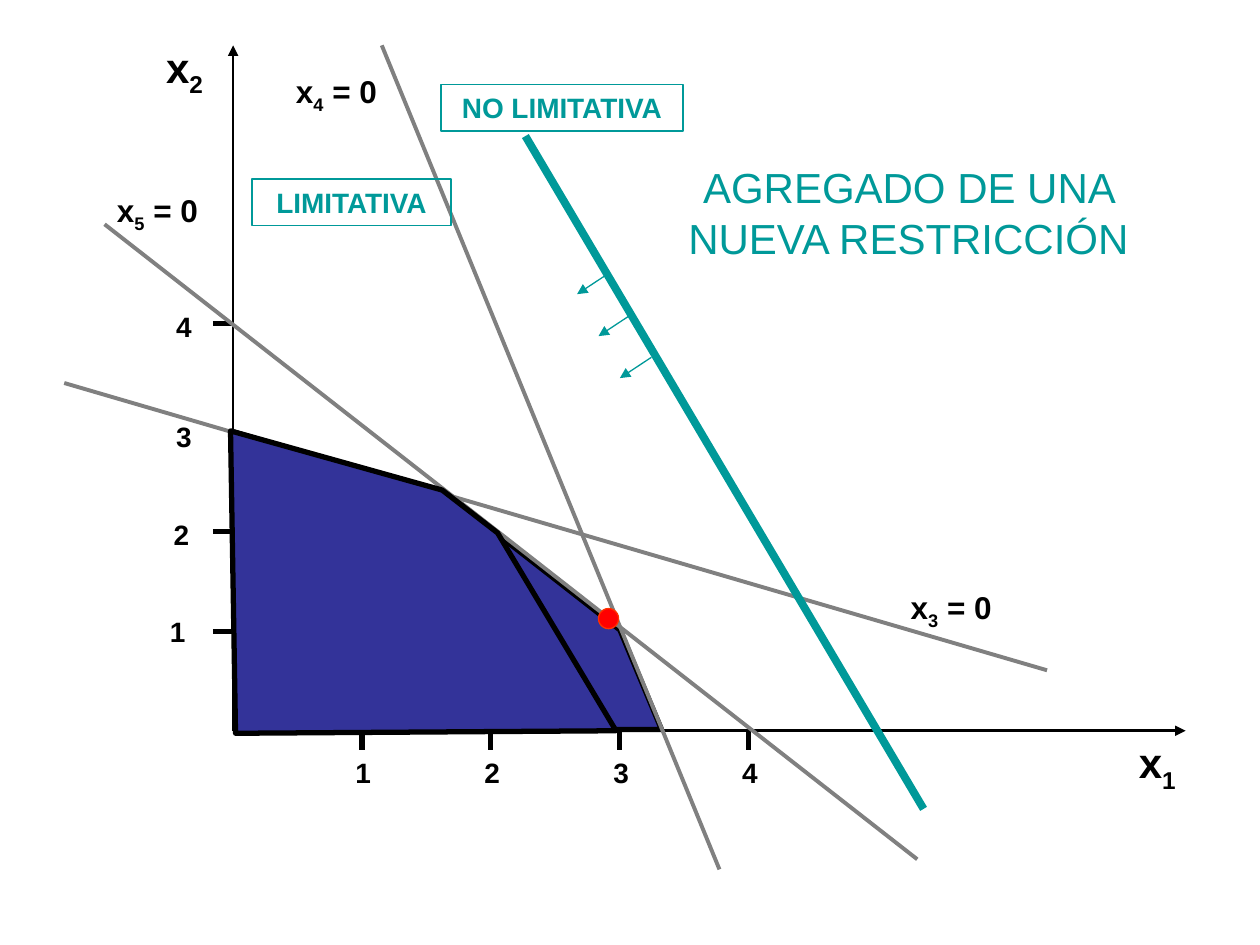
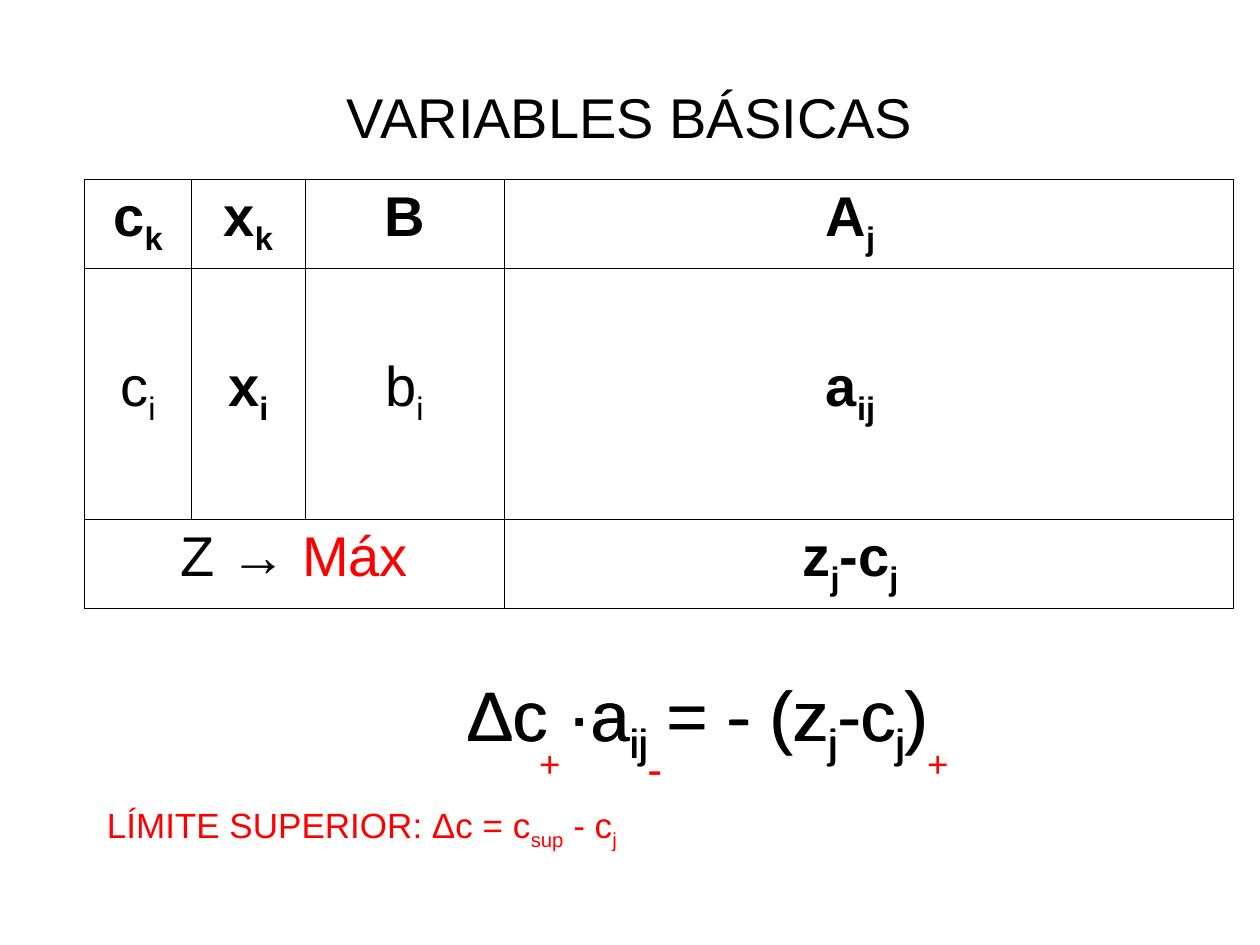
from lxml import etree
from pptx import Presentation
from pptx.dml.color import RGBColor
from pptx.enum.shapes import MSO_CONNECTOR, MSO_SHAPE
from pptx.enum.text import MSO_ANCHOR, MSO_AUTO_SIZE, PP_ALIGN
from pptx.oxml.ns import qn
from pptx.util import Inches, Pt

STRAIGHT = MSO_CONNECTOR.STRAIGHT
RECT, OVAL = MSO_SHAPE.RECTANGLE, MSO_SHAPE.OVAL
LEFT, CENTER = PP_ALIGN.LEFT, PP_ALIGN.CENTER
MIDDLE, FIXED = MSO_ANCHOR.MIDDLE, MSO_AUTO_SIZE.NONE

WIDE, HIGH = Inches(10), Inches(7.5)
UNIT = WIDE / 100
TITLE_ONLY = 5
FONT = "Arial"
HUES = {"ink": "000000", "teal": "009999", "gray": "808080",
        "navy": "333399", "red": "FF0000", "rim": "FF3300"}


def hue(name):
    """Look up a colour by name."""
    return RGBColor.from_string(HUES[name])


def grid(*cells):
    """Turn grid cells into slide lengths."""
    return [round(cell * UNIT) for cell in cells]


def spot(box, x, y):
    """Turn a point inside a box into slide lengths."""
    return grid(box[0] + x, box[1] + y)


def area(box, x, y, w, h):
    """Turn a region inside a box into slide lengths."""
    return spot(box, x, y) + grid(w, h)


def write(para, text, size, color="ink", bold=False, align=LEFT):
    """Add runs to a paragraph, with the parts between bars as subscripts."""
    para.alignment = align
    for n, part in enumerate(text.split("|")):
        if not part:
            continue
        run = para.add_run()
        run.text = part
        looks = {"name": FONT, "size": Pt(size), "bold": bold}
        for key, value in looks.items():
            setattr(run.font, key, value)
        run.font.color.rgb = hue(color)
        if n % 2:
            run.font._element.set("baseline", "-25000")


def label(slide, place, text, size, wrap=False, **looks):
    """Add a text box."""
    frame = slide.shapes.add_textbox(*place).text_frame
    frame.word_wrap = wrap
    write(frame.paragraphs[0], text, size, **looks)


def head(slide, place, text, size, color="ink"):
    """Place and fill the title."""
    title = slide.shapes.title
    for key, value in zip(("left", "top", "width", "height"), place):
        setattr(title, key, value)
    frame = title.text_frame
    looks = {"word_wrap": True, "auto_size": FIXED, "vertical_anchor": MIDDLE}
    for key, value in looks.items():
        setattr(frame, key, value)
    write(frame.paragraphs[0], text, size, color, align=CENTER)


def line(slide, start, end, color, width, arrow=False):
    """Draw a straight line, with an arrowhead if asked."""
    link = slide.shapes.add_connector(STRAIGHT, *start, *end)
    link.line.color.rgb = hue(color)
    link.line.width = Pt(width)
    if arrow:
        tail = etree.SubElement(link.line._get_or_add_ln(), qn("a:tailEnd"))
        tail.set("type", "triangle")
    etree.SubElement(link._element.spPr, qn("a:effectLst"))


def paint(shape, fill, edge, width):
    """Set the fill and outline of a shape."""
    shape.shadow.inherit = False
    if fill:
        shape.fill.solid()
        shape.fill.fore_color.rgb = hue(fill)
    else:
        shape.fill.background()
    shape.line.color.rgb = hue(edge)
    shape.line.width = Pt(width)


def region(slide, box, points):
    """Draw a filled feasible region."""
    first, *rest = [spot(box, *point) for point in points]
    pen = slide.shapes.build_freeform(*first, scale=1.0)
    pen.add_line_segments(rest, close=True)
    paint(pen.convert_to_shape(), "navy", "ink", 3)


def axes(slide, box):
    """Draw the two axes with their names, ticks and numbers."""
    x, y = 13.5, 56
    for end in ((x, 1.6), (89.1, y)):
        line(slide, spot(box, x, y), spot(box, *end), "ink", 1.5, True)
    for name, left, top in (("x|2|", 7.2, 0.8), ("x|1|", 84.4, y)):
        label(slide, area(box, left, top, 6.3, 5.6), name, 24, True, bold=True)
    for n in range(1, 5):
        mark = x + 10.23 * n
        line(slide, spot(box, mark, y + 1.5), spot(box, mark, y), "ink", 3)
        label(slide, area(box, mark - 1.5, y + 1.5, 3.2, 3.7), str(n), 16,
              bold=True)
    for mark in (48.1, 40.2, 23.7):
        line(slide, spot(box, x - 1.6, mark), spot(box, x, mark), "ink", 3)
    numbers = ((7.5, 46.3), (7.8, 38.6), (8, 30.8), (8, 22.1))
    for n, (left, top) in enumerate(numbers, 1):
        label(slide, area(box, left, top, 3.2, 3.7), str(n), 16, bold=True)


def limits(slide, box):
    """Draw the first constraints and their equations."""
    rows = ((3, (0.1, 28.4), (78.1, 51.2), (66.3, 44.2)),
            (4, (52.1, 67), (25.3, 1.6), (17.5, 3.2)),
            (5, (3.3, 15.8), (67.8, 66.2), (3.3, 12.7)))
    for n, start, end, note in rows:
        line(slide, spot(box, *start), spot(box, *end), "gray", 2.25)
        label(slide, area(box, *note, 8.4, 4.4), f"x|{n}| = 0", 18, bold=True)


def added(slide, box):
    """Draw the new constraint, its arrows and the two tags."""
    line(slide, spot(box, 36.7, 8.8), spot(box, 68.3, 62.2), "teal", 4.5)
    for n in range(3):
        x, y = 43.3 + 1.7 * n, 19.7 + 3.33 * n
        line(slide, spot(box, x, y), spot(box, x - 2.5, y + 1.65),
             "teal", 0.75, True)
    tags = (("NO LIMITATIVA", 30, 4.7, 19.2), ("LIMITATIVA", 15, 12.2, 15.8))
    for text, x, y, w in tags:
        tag = slide.shapes.add_shape(RECT, *area(box, x, y, w, 3.7))
        paint(tag, None, "teal", 0.75)
        frame = tag.text_frame
        frame.word_wrap = True
        write(frame.paragraphs[0], text, 16, "teal", True, CENTER)


def graph(slide, box):
    """Build the graph of the feasible region."""
    region(slide, box, ((13.7, 55.9), (13.6, 32.3), (30.5, 37.3),
                        (44.2, 48), (47.5, 55.9)))
    axes(slide, box)
    limits(slide, box)
    added(slide, box)
    region(slide, box, ((13.7, 56.2), (13.3, 32.2), (30.1, 36.9),
                        (34.5, 40.3), (43.9, 56)))
    dot = slide.shapes.add_shape(OVAL, *area(box, 42.5, 46.3, 1.6, 1.6))
    paint(dot, "red", "rim", 0.75)


def edges(cell, sides):
    """Draw the named borders of a cell and hide the others."""
    props = cell._tc.get_or_add_tcPr()
    for side in "LRTB":
        edge = etree.SubElement(props, qn(f"a:ln{side}"), w=str(Pt(0.45)))
        if side in sides:
            fill = etree.SubElement(edge, qn("a:solidFill"))
            etree.SubElement(fill, qn("a:srgbClr"), val=HUES["ink"])
        else:
            etree.SubElement(edge, qn("a:noFill"))
    cell.fill.background()


def simplex(slide, box):
    """Build the simplex table."""
    cols = (8.5, 9, 15.8, 11.6, 10.6, 10.6, 12.2, 12.9)
    rows = (7.1, 6.4, 7.1, 6.4, 7.1)
    place = area(box, 0, 0, sum(cols), sum(rows))
    table = slide.shapes.add_table(len(rows), len(cols), *place).table
    table.first_row = table.horz_banding = False
    for col, width in zip(table.columns, grid(*cols)):
        col.width = width
    for row, height in zip(table.rows, grid(*rows)):
        row.height = height
    for r in range(len(rows)):
        for c in range(len(cols)):
            tests = {"L": c <= 3, "R": c <= 2 or c == 7,
                     "T": r in (0, 1, 4), "B": r in (0, 3, 4)}
            edges(table.cell(r, c), [s for s, on in tests.items() if on])
    table.cell(4, 0).merge(table.cell(4, 2))
    words = ((0, 0, "c|k|", True), (0, 1, "x|k|", True), (0, 2, "B", True),
             (0, 5, "A|j|", True), (2, 0, "c|i|", False),
             (2, 1, "x|i|", True), (2, 2, "b|i|", False),
             (2, 5, "a|ij|", True), (4, 0, "Z → ", False),
             (4, 5, "z|j|-c|j|", True))
    for r, c, text, bold in words:
        para = table.cell(r, c).text_frame.paragraphs[0]
        write(para, text, 32, bold=bold, align=CENTER)
    goal = table.cell(4, 0).text_frame.paragraphs[0]
    write(goal, "Máx", 32, "red", align=CENTER)


def rule(slide, box):
    """Write the formula, its signs and the upper limit."""
    for x, w in ((28.6, 40.7), (28.5, 39.8)):
        label(slide, area(box, x, 0, w, 8.6),
              "Δc ·a|ij| = - (z|j|-c|j|)", 40)
    label(slide, area(box, 0, 10.5, 44.2, 4.8),
          "LÍMITE SUPERIOR: Δc = c|sup| - c|j|", 20, True, color="red")
    signs = (("+", 34.3, 2.2, 36), ("-", 42.9, 1.4, 44), ("+", 65.1, 2.2, 36))
    for sign, x, y, size in signs:
        label(slide, area(box, x, y, 3.6, 7.9), f"|{sign}|", size, color="red")


def main():
    """Build and save both slides."""
    deck = Presentation()
    deck.slide_width, deck.slide_height = WIDE, HIGH
    layout = deck.slide_layouts[TITLE_ONLY]

    slide = deck.slides.add_slide(layout)
    head(slide, grid(50, 7.5, 44.2, 18.7),
         "AGREGADO DE UNA NUEVA RESTRICCIÓN", 24, "teal")
    graph(slide, (5, 2))

    slide = deck.slides.add_slide(layout)
    head(slide, grid(5, 3, 90, 12.5), "VARIABLES BÁSICAS", 32)
    simplex(slide, (6.7, 14.2))
    rule(slide, (7.5, 52.8))

    deck.save("out.pptx")


if __name__ == "__main__":
    main()
